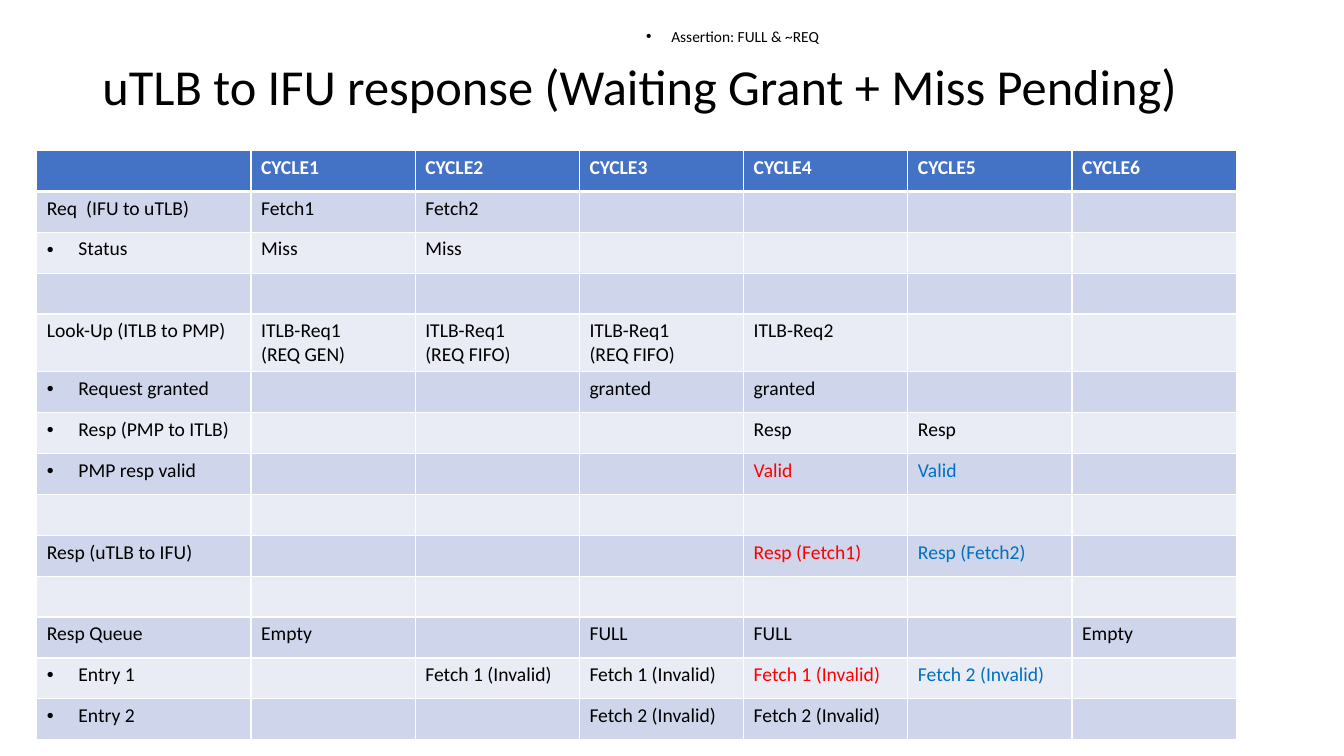
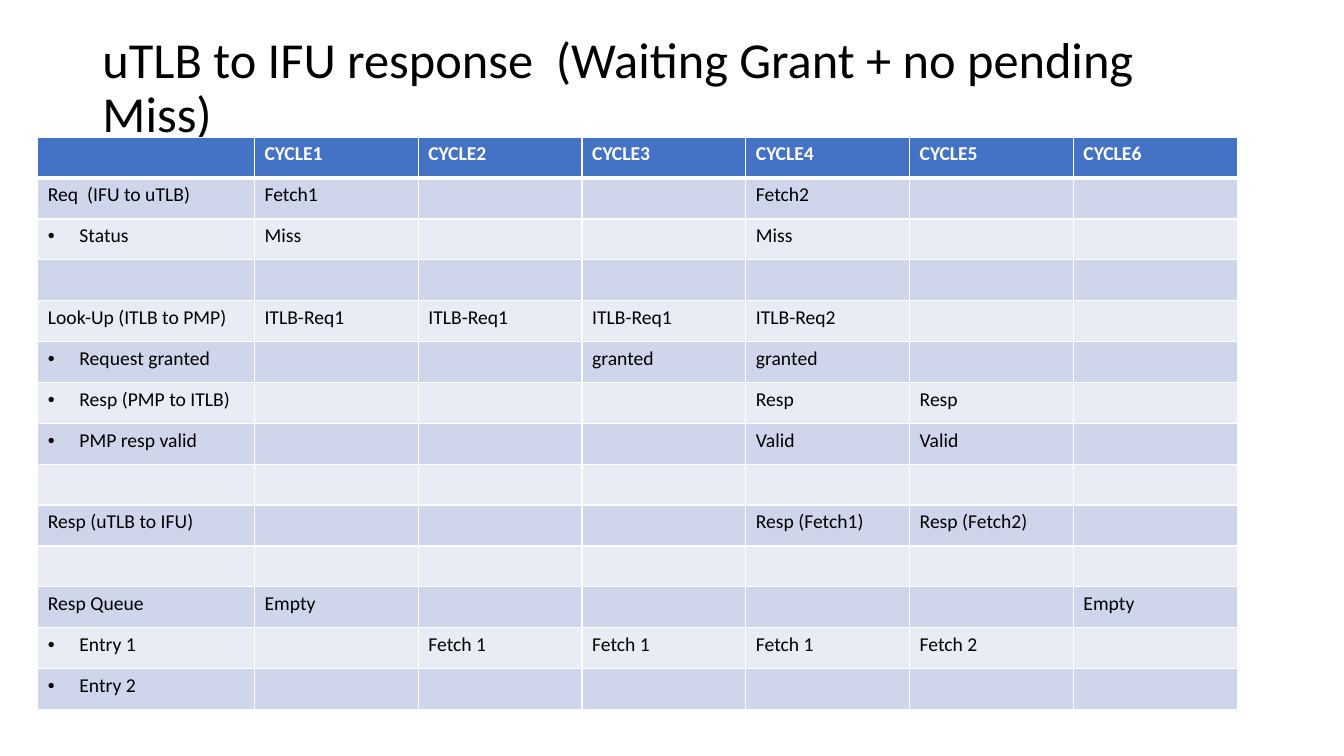
from dataclasses import dataclass

from lxml import etree
from pptx import Presentation
from pptx.dml.color import RGBColor
from pptx.enum import text as t
from pptx.oxml import ns
from pptx.util import Pt

FONT = "Calibri"
HEX = {
    "black": "000000", "white": "FFFFFF", "head": "4472C4",
    "odd": "CFD5EA", "even": "E9EBF5", "red": "FF0000", "blue": "0070C0",
}
WIDTH, ROW_H, CYCLES = 856.8, 29.2, 6
HUES = {4: "red", 5: "blue"}

# Row labels shared by both tables; a leading dash marks a bullet.
LABELS = [
    "Req  (IFU to uTLB)", "-Status", "", "Look-Up (ITLB to PMP)",
    "-Request granted", "-Resp (PMP to ITLB)", "-PMP resp valid", "",
    "Resp (uTLB to IFU)", "", "Resp Queue", "-Entry 1", "-Entry 2",
]
COMMON = {
    "-Request granted": {3: "granted", 4: "granted"},
    "-Resp (PMP to ITLB)": {4: "Resp", 5: "Resp"},
    "-PMP resp valid": {4: "Valid", 5: "Valid"},
    "Resp (uTLB to IFU)": {4: "Resp (Fetch1)", 5: "Resp (Fetch2)"},
}


@dataclass(frozen=True)
class Sheet:
    """One slide: cells are keyed by row label, then by cycle number."""
    title: str
    left: float
    top: float
    col_w: float
    cells: dict[str, dict[int, str]]
    hot: tuple[str, ...] = ()
    note: str = ""


SHEETS = [
    Sheet(
        "uTLB to IFU response (Waiting Grant + Miss Pending)",
        26.3, 107.5, 117.3,
        {
            "Req  (IFU to uTLB)": {1: "Fetch1", 2: "Fetch2"},
            "-Status": {1: "Miss", 2: "Miss"},
            "Look-Up (ITLB to PMP)": {
                1: "ITLB-Req1\n(REQ GEN)", 2: "ITLB-Req1\n(REQ FIFO)",
                3: "ITLB-Req1\n(REQ FIFO)", 4: "ITLB-Req2"},
            "Resp Queue": {1: "Empty", 3: "FULL", 4: "FULL", 6: "Empty"},
            "-Entry 1": {
                2: "Fetch 1 (Invalid)", 3: "Fetch 1 (Invalid)",
                4: "Fetch 1 (Invalid)", 5: "Fetch 2 (Invalid)"},
            "-Entry 2": {3: "Fetch 2 (Invalid)", 4: "Fetch 2 (Invalid)"},
        },
        hot=("-PMP resp valid", "Resp (uTLB to IFU)", "-Entry 1"),
        note="Assertion: FULL & ~REQ",
    ),
    Sheet(
        "uTLB to IFU response  (Waiting Grant + no pending Miss)",
        27, 98, 117,
        {
            "Req  (IFU to uTLB)": {1: "Fetch1", 4: "Fetch2"},
            "-Status": {1: "Miss", 4: "Miss"},
            "Look-Up (ITLB to PMP)": {
                1: "ITLB-Req1", 2: "ITLB-Req1", 3: "ITLB-Req1",
                4: "ITLB-Req2"},
            "Resp Queue": {1: "Empty", 6: "Empty"},
            "-Entry 1": {
                2: "Fetch 1", 3: "Fetch 1", 4: "Fetch 1", 5: "Fetch 2"},
        },
    ),
]


def rgb(name: str) -> RGBColor:
    return RGBColor.from_string(HEX[name])


def add_run(para, text: str, size: float, hue: str = "black",
            bold: bool = False) -> None:
    run = para.add_run()
    run.text = text
    font = run.font
    font.name, font.size, font.bold = FONT, Pt(size), bold
    font.color.rgb = rgb(hue)


def bullet(para, indent: float) -> None:
    props = para._p.get_or_add_pPr()
    props.set("marL", str(Pt(indent)))
    props.set("indent", str(-Pt(indent)))
    etree.SubElement(props, ns.qn("a:buFont"), typeface="Arial")
    etree.SubElement(props, ns.qn("a:buChar"), char="•")


def edge(cell, row: int) -> None:
    """Draw white cell borders, thick below the header row."""
    props = cell._tc.get_or_add_tcPr()
    thick = {"T": row == 1, "B": row == 0}
    for spot, side in enumerate("LRTB"):
        line = etree.Element(ns.qn(f"a:ln{side}"),
                             w=str(Pt(3 if thick.get(side) else 1)))
        fill = etree.SubElement(line, ns.qn("a:solidFill"))
        etree.SubElement(fill, ns.qn("a:srgbClr"), val=HEX["white"])
        props.insert(spot, line)


def fill_cell(cell, row: int, text: str, hue: str) -> None:
    cell.fill.solid()
    cell.fill.fore_color.rgb = rgb(
        "head" if row == 0 else "odd" if row % 2 else "even")
    edge(cell, row)
    if not text:
        return
    frame = cell.text_frame
    for i, line in enumerate(text.removeprefix("-").split("\n")):
        para = frame.add_paragraph() if i else frame.paragraphs[0]
        if text.startswith("-"):
            bullet(para, 22.5)
        add_run(para, line, 14, hue, bold=row == 0)


def add_grid(slide, sheet: Sheet) -> None:
    count = len(LABELS) + 1
    table = slide.shapes.add_table(
        count, CYCLES + 1, Pt(sheet.left), Pt(sheet.top),
        Pt(WIDTH), Pt(ROW_H * count)).table
    for i, col in enumerate(table.columns):
        col.width = Pt(sheet.col_w if i else WIDTH - CYCLES * sheet.col_w)
    for row in table.rows:
        row.height = Pt(ROW_H)
    for i in range(CYCLES + 1):
        fill_cell(table.cell(0, i), 0, f"CYCLE{i}" if i else "", "white")
    cells = COMMON | sheet.cells
    for row, label in enumerate(LABELS, 1):
        texts = {0: label} | cells.get(label, {})
        hues = HUES if label in sheet.hot else {}
        for i in range(CYCLES + 1):
            fill_cell(table.cell(row, i), row, texts.get(i, ""),
                      hues.get(i, "black"))


def place(shape, left: float, top: float, width: float, height: float):
    """Move a placeholder and return its first paragraph."""
    shape.left, shape.top = Pt(left), Pt(top)
    shape.width, shape.height = Pt(width), Pt(height)
    frame = shape.text_frame
    frame.word_wrap, frame.auto_size = True, t.MSO_AUTO_SIZE.NONE
    para = frame.paragraphs[0]
    para.alignment, para.line_spacing = t.PP_ALIGN.LEFT, 0.9
    return para


def add_sheet(deck, sheet: Sheet) -> None:
    slide = deck.slides.add_slide(deck.slide_layouts[1 if sheet.note else 5])
    title = slide.shapes.title
    add_run(place(title, 66, 11.5, 828, 104.4), sheet.title, 36)
    title.text_frame.vertical_anchor = t.MSO_ANCHOR.MIDDLE
    add_grid(slide, sheet)
    if sheet.note:
        para = place(slide.placeholders[1], 454.3, 17.3, 496.8, 89.3)
        para.space_before = Pt(10)
        bullet(para, 18)
        add_run(para, sheet.note, 11)


def main() -> None:
    deck = Presentation()
    deck.slide_width, deck.slide_height = Pt(960), Pt(540)
    for sheet in SHEETS:
        add_sheet(deck, sheet)
    deck.save("out.pptx")


if __name__ == "__main__":
    main()
